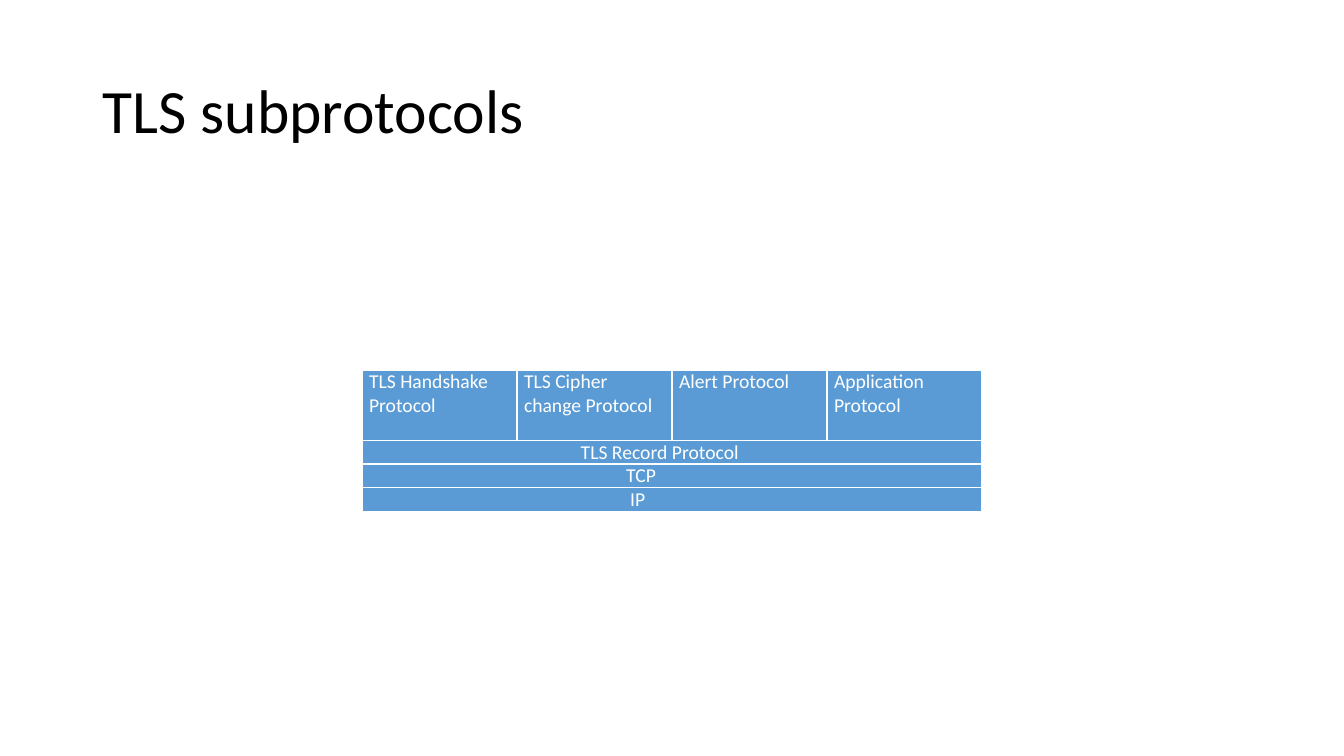
"""Build the slide that shows how the TLS subprotocols are layered."""
from dataclasses import dataclass
from typing import Any

from lxml.etree import SubElement
from pptx import Presentation
from pptx.dml.color import RGBColor
from pptx.enum.text import MSO_ANCHOR
from pptx.oxml.ns import qn
from pptx.slide import Slide
from pptx.table import Table, _Cell
from pptx.util import Inches, Pt


@dataclass(frozen=True)
class Theme:
    """Hold the colours and type sizes of the slide."""
    font: str = "Calibri"
    title_color: str = "000000"
    cell_color: str = "FFFFFF"
    cell_fill: str = "5B9BD5"
    border: str = "FFFFFF"
    title_size: float = 44
    cell_size: float = 14
    border_width: float = 1


@dataclass(frozen=True)
class Layer:
    """Describe a protocol layer that spans the whole table."""
    name: str
    indent: float


THEME = Theme()
SUBPROTOCOLS = ["TLS Handshake Protocol", "TLS Cipher change Protocol",
                "Alert Protocol", "Application Protocol"]
LAYERS = [Layer("TLS Record Protocol", 2.1), Layer("TCP", 2.55), Layer("IP", 2.59)]
HEADER_HEIGHT = 0.7
LAYER_HEIGHT = 0.23


def apply_format(target: Any, values: dict[str, Any]) -> None:
    """Set each attribute named in values on the target."""
    for name, value in values.items():
        setattr(target, name, value)


def write_text(paragraph: Any, text: str, size: float, color: str) -> None:
    """Write one formatted run into the paragraph."""
    run = paragraph.add_run()
    run.text = text
    apply_format(run.font, {"name": THEME.font, "size": Pt(size), "bold": False})
    run.font.color.rgb = RGBColor.from_string(color)


def style_cell(cell: _Cell) -> None:
    """Give the cell its margins, borders and fill."""
    apply_format(cell, {"margin_left": Inches(0.07), "margin_right": Inches(0.07),
                        "margin_top": 0, "margin_bottom": 0})
    properties = cell._tc.get_or_add_tcPr()
    for side in ("a:lnL", "a:lnR", "a:lnT", "a:lnB"):
        line = SubElement(properties, qn(side), w=str(Pt(THEME.border_width)))
        fill = SubElement(line, qn("a:solidFill"))
        SubElement(fill, qn("a:srgbClr"), val=THEME.border)
    cell.fill.solid()
    cell.fill.fore_color.rgb = RGBColor.from_string(THEME.cell_fill)


def write_cell(cell: _Cell, text: str, indent: float = 0) -> None:
    """Write the cell text, moved right by the indent."""
    paragraph = cell.text_frame.paragraphs[0]
    if indent:
        paragraph._p.get_or_add_pPr().set("marL", str(Inches(indent)))
    write_text(paragraph, text, THEME.cell_size, THEME.cell_color)


def add_title(slide: Slide, text: str) -> None:
    """Add the slide title."""
    box = slide.shapes.add_textbox(Inches(0.92), Inches(0.4), Inches(11.5), Inches(1.45))
    apply_format(box.text_frame, {"word_wrap": True, "vertical_anchor": MSO_ANCHOR.MIDDLE})
    paragraph = box.text_frame.paragraphs[0]
    paragraph.line_spacing = 0.9
    write_text(paragraph, text, THEME.title_size, THEME.title_color)


def add_protocol_table(slide: Slide) -> Table:
    """Add the subprotocols above the layers that carry them."""
    height = HEADER_HEIGHT + LAYER_HEIGHT * len(LAYERS)
    table = slide.shapes.add_table(
        len(LAYERS) + 1, len(SUBPROTOCOLS),
        Inches(3.59), Inches(3.67), Inches(6.15), Inches(height)).table
    apply_format(table, {"first_row": False, "horz_banding": False})
    for cell in table.iter_cells():
        style_cell(cell)
    table.rows[0].height = Inches(HEADER_HEIGHT)
    for column, name in enumerate(SUBPROTOCOLS):
        write_cell(table.cell(0, column), name)
    for row, layer in enumerate(LAYERS, start=1):
        table.rows[row].height = Inches(LAYER_HEIGHT)
        first = table.cell(row, 0)
        first.merge(table.cell(row, len(SUBPROTOCOLS) - 1))
        write_cell(first, layer.name, layer.indent)
    return table


def main() -> None:
    """Create and save the presentation."""
    presentation = Presentation()
    apply_format(presentation, {"slide_width": Inches(13.33), "slide_height": Inches(7.5)})
    slide = presentation.slides.add_slide(presentation.slide_layouts[6])
    add_title(slide, "TLS subprotocols")
    add_protocol_table(slide)
    presentation.save("out.pptx")


if __name__ == "__main__":
    main()
